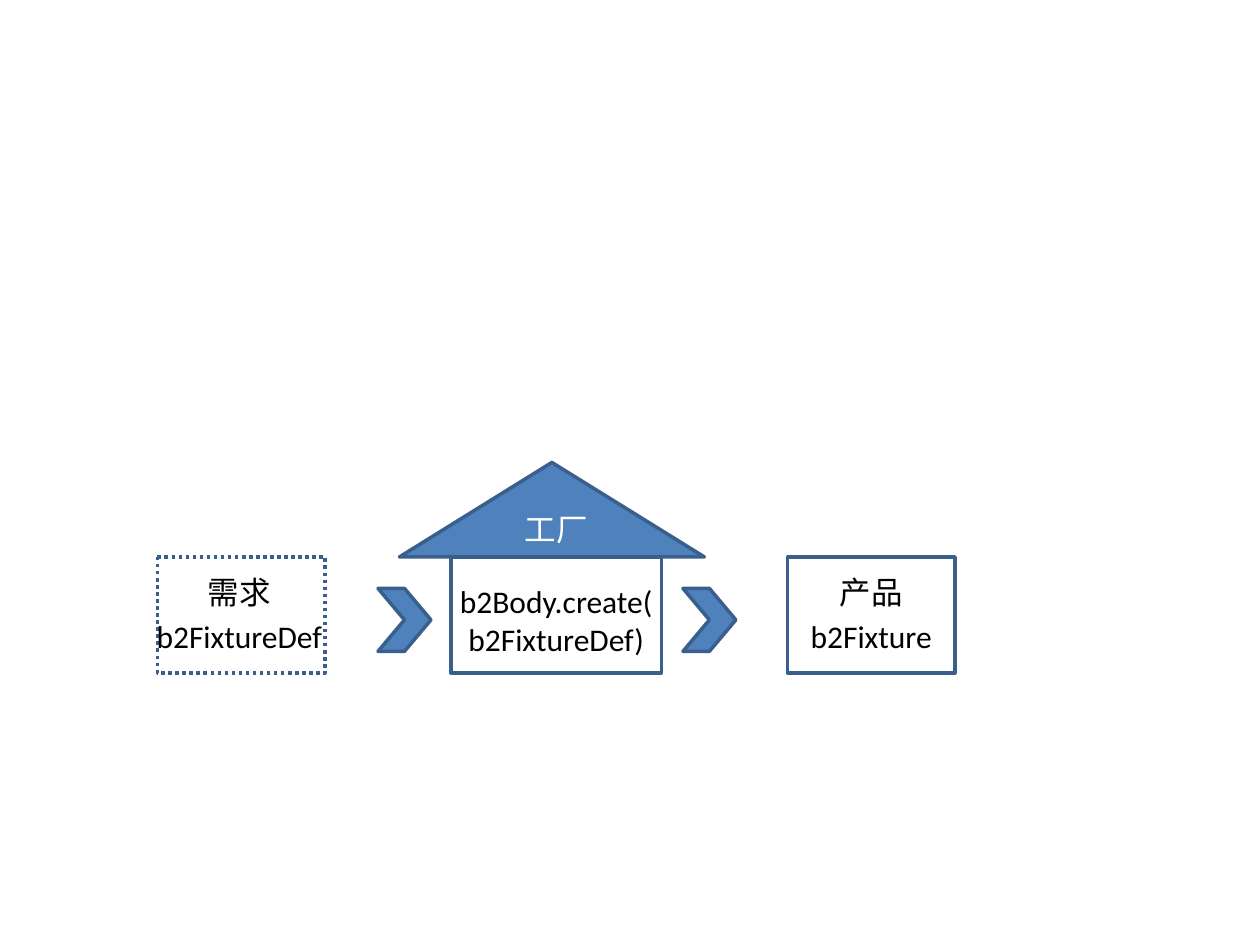
from dataclasses import dataclass
from typing import Optional

from pptx import Presentation
from pptx.dml.color import RGBColor
from pptx.enum.dml import MSO_LINE as Dash
from pptx.enum.shapes import MSO_SHAPE as Shape
from pptx.enum.text import PP_ALIGN as Align
from pptx.util import Inches, Pt


@dataclass(frozen=True)
class Theme:
    fill: RGBColor = RGBColor(0x4F, 0x81, 0xBD)
    line: RGBColor = RGBColor(0x3A, 0x5F, 0x8C)
    dark_text: RGBColor = RGBColor(0, 0, 0)
    light_text: RGBColor = RGBColor(255, 255, 255)
    font: str = "Calibri"
    text_size: Pt = Pt(18)
    text_gap: Pt = Pt(3.6)
    line_width: Pt = Pt(2)


@dataclass(frozen=True)
class Box:
    left: float
    top: float
    width: float
    height: float

    def lengths(self) -> list:
        return [Inches(v) for v in (self.left, self.top, self.width, self.height)]


@dataclass(frozen=True)
class Part:
    kind: Shape
    box: Box
    fill: Optional[RGBColor] = None
    dash: Optional[Dash] = None


@dataclass(frozen=True)
class Label:
    text: str
    box: Box
    color: RGBColor


THEME = Theme()
ROW_TOP, ROW_HEIGHT = 4.42, 0.92
ARROW_TOP, ARROW_WIDTH, ARROW_HEIGHT = 4.67, 0.42, 0.5
LABEL_TOP, LABEL_HEIGHT = 4.5, 0.83

PARTS = [
    # Demand, factory wall and product
    Part(Shape.FLOWCHART_PROCESS, Box(1.25, ROW_TOP, 1.33, ROW_HEIGHT), dash=Dash.ROUND_DOT),
    Part(Shape.RECTANGLE, Box(3.58, ROW_TOP, 1.67, ROW_HEIGHT)),
    Part(Shape.FLOWCHART_PROCESS, Box(6.25, ROW_TOP, 1.33, ROW_HEIGHT)),
    # Factory roof
    Part(Shape.ISOSCELES_TRIANGLE, Box(3.17, 3.67, 2.42, 0.75), THEME.fill),
    # Arrows into and out of the factory
    *(Part(Shape.CHEVRON, Box(left, ARROW_TOP, ARROW_WIDTH, ARROW_HEIGHT), THEME.fill)
      for left in (3.0, 5.42)),
]

LABELS = [
    Label("需求\nb2FixtureDef", Box(1.11, LABEL_TOP, 1.58, LABEL_HEIGHT), THEME.dark_text),
    Label("产品\nb2Fixture", Box(6.25, LABEL_TOP, 1.33, LABEL_HEIGHT), THEME.dark_text),
    Label("b2Body.create(b2FixtureDef)", Box(3.5, 4.57, 1.83, LABEL_HEIGHT), THEME.dark_text),
    Label("工厂", Box(3.75, 4, 1.33, 0.42), THEME.light_text),
]


def draw_part(page, part: Part) -> None:
    shape = page.shapes.add_shape(part.kind, *part.box.lengths())
    shape.shadow.inherit = False
    if part.fill is None:
        shape.fill.background()
    else:
        shape.fill.solid()
        shape.fill.fore_color.rgb = part.fill
    shape.line.color.rgb = THEME.line
    shape.line.width = THEME.line_width
    if part.dash is not None:
        shape.line.dash_style = part.dash


def draw_label(page, label: Label) -> None:
    frame = page.shapes.add_textbox(*label.box.lengths()).text_frame
    frame.word_wrap = True
    frame.text = label.text
    for para in frame.paragraphs:
        para.alignment = Align.CENTER
        para.space_before = THEME.text_gap
        for span in para.runs:
            span.font.name = THEME.font
            span.font.size = THEME.text_size
            span.font.color.rgb = label.color


def main() -> None:
    deck = Presentation()
    deck.slide_width, deck.slide_height = Inches(10), Inches(7.5)
    page = deck.slides.add_slide(deck.slide_layouts[6])
    for part in PARTS:
        draw_part(page, part)
    for label in LABELS:
        draw_label(page, label)
    deck.save("out.pptx")


if __name__ == "__main__":
    main()
